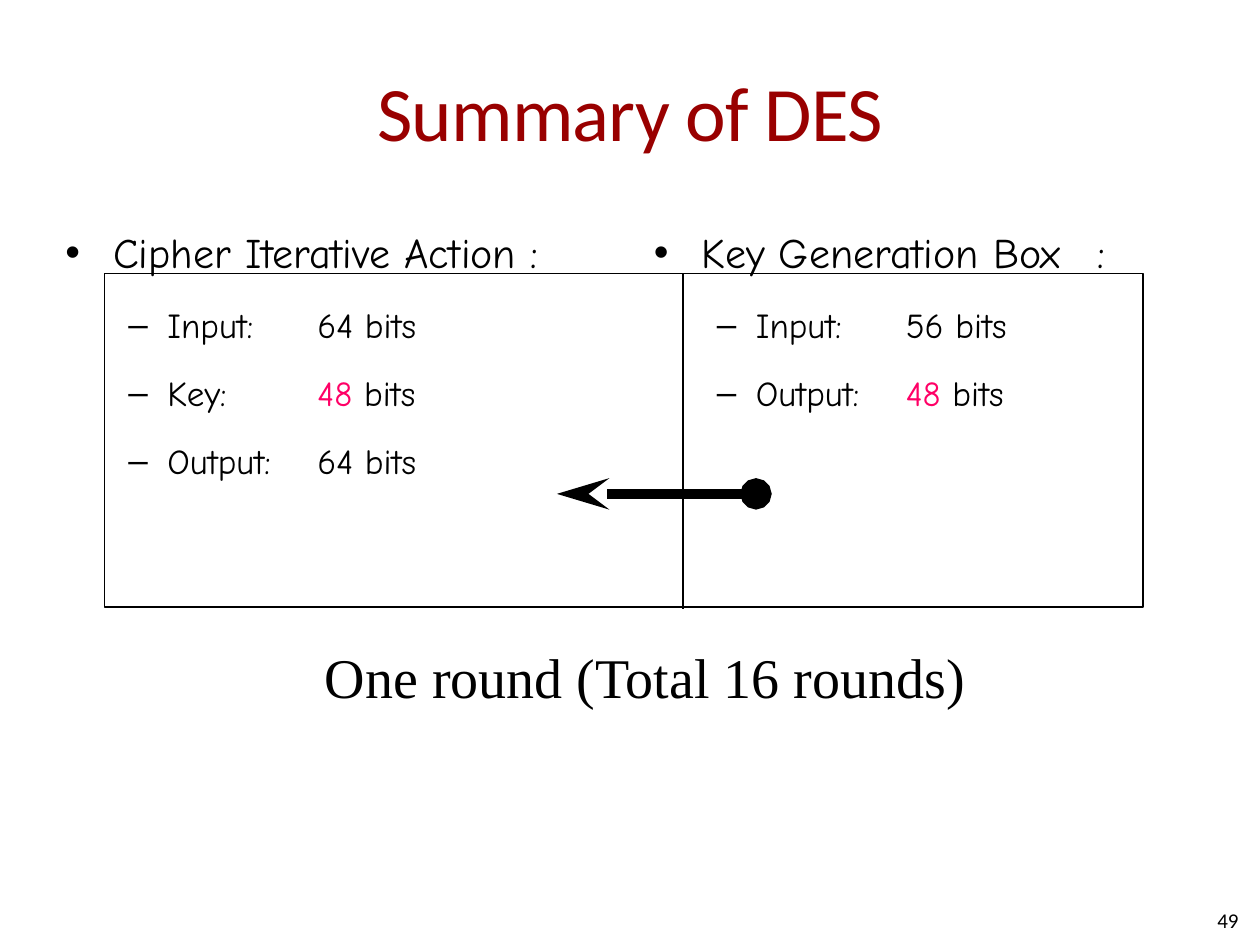
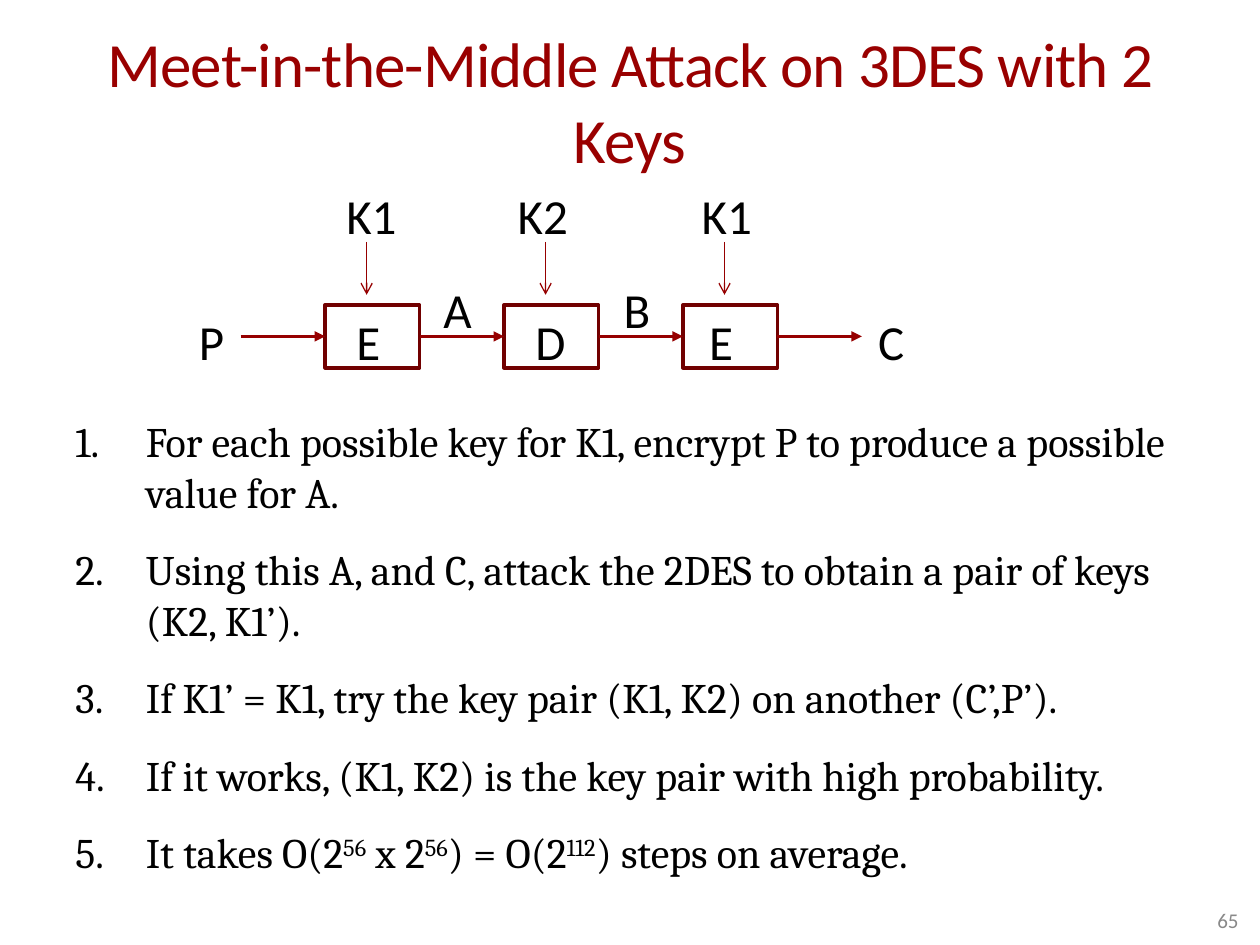
"""Builds two slides on DES: a round summary and the attack on 3DES with two keys."""
from dataclasses import dataclass

from lxml.etree import SubElement
from pptx import Presentation
from pptx.dml.color import RGBColor
from pptx.enum.shapes import MSO_CONNECTOR, MSO_SHAPE
from pptx.enum.text import MSO_ANCHOR, PP_ALIGN
from pptx.oxml.ns import qn
from pptx.util import Inches, Pt


@dataclass(frozen=True)
class Theme:
    """Colours, fonts and type sizes of the deck."""
    black: str = "000000"
    title_red: str = "990000"
    arrow_red: str = "960000"
    box_red: str = "710000"
    key_pink: str = "FF0066"
    number_grey: str = "898989"
    sans: str = "Calibri"
    serif: str = "Cambria"
    hand: str = "Comic Neue"
    roman: str = "Times New Roman"
    title: int = 44
    long_title: int = 36
    caption: int = 32
    label: int = 28
    body: int = 24
    detail: int = 20
    footer: int = 12


THEME = Theme()


def add_span(para, text, *, size, font=THEME.sans, colour=THEME.black, tracking=0, raised=False):
    """Add a run of text to a paragraph in the given format."""
    span = para.add_run()
    span.text = text
    span.font.size = Pt(size)
    span.font.name = font
    span.font.color.rgb = RGBColor.from_string(colour)
    properties = span._r.get_or_add_rPr()
    if tracking:
        properties.set("spc", str(round(tracking * 100)))
    if raised:
        properties.set("baseline", "30000")


def add_box(page, left, top, width, height, *, wrap=True, side=0.1, edge=0.05, anchor=MSO_ANCHOR.TOP):
    """Add an empty text box and return its text frame."""
    box = page.shapes.add_textbox(Inches(left), Inches(top), Inches(width), Inches(height))
    frame = box.text_frame
    frame.word_wrap = wrap
    frame.vertical_anchor = anchor
    frame.margin_left = frame.margin_right = Inches(side)
    frame.margin_top = frame.margin_bottom = Inches(edge)
    return frame


def add_title(page, text, top, size):
    """Add the centred slide title."""
    frame = add_box(page, 0.5, top, 9, 1.25, side=0, anchor=MSO_ANCHOR.MIDDLE)
    para = frame.paragraphs[0]
    para.alignment = PP_ALIGN.CENTER
    add_span(para, text, size=size, colour=THEME.title_red, tracking=-0.5)


def add_page_number(page, number, colour):
    """Add the page number at the lower right."""
    frame = add_box(page, 7.5, 7.1, 2.33, 0.4, side=0, edge=0, anchor=MSO_ANCHOR.MIDDLE)
    para = frame.paragraphs[0]
    para.alignment = PP_ALIGN.RIGHT
    add_span(para, number, size=THEME.footer, colour=colour)


def add_label(page, text, left, top, *, width=0.75, size=THEME.label, font=THEME.sans):
    """Add a one-line label that does not wrap."""
    frame = add_box(page, left, top, width, 0.57, wrap=False)
    add_span(frame.paragraphs[0], text, size=size, font=font)


def add_list_item(frame, first, marker, *, indent, hanging, level=0, before=0, after=0, tab=None):
    """Add a bulleted or numbered paragraph and return it."""
    para = frame.paragraphs[0] if first else frame.add_paragraph()
    para.level = level
    properties = para._p.get_or_add_pPr()
    properties.set("marL", str(Inches(indent)))
    properties.set("indent", str(-Inches(hanging)))
    if marker == "1.":
        SubElement(properties, qn("a:buFont"), typeface="+mj-lt")
        SubElement(properties, qn("a:buAutoNum"), type="arabicPeriod")
    else:
        SubElement(properties, qn("a:buFont"), typeface="Arial")
        SubElement(properties, qn("a:buChar"), char=marker)
    if tab:
        stops = SubElement(properties, qn("a:tabLst"))
        SubElement(stops, qn("a:tab"), pos=str(Inches(tab)), algn="l")
    para.space_before = Pt(0 if first else before)
    para.space_after = Pt(after)
    return para


def add_frame(page, left, top, width, height, colour, weight):
    """Add an outlined rectangle without fill."""
    shape = page.shapes.add_shape(
        MSO_SHAPE.RECTANGLE, Inches(left), Inches(top), Inches(width), Inches(height))
    shape.shadow.inherit = False
    shape.fill.background()
    shape.line.color.rgb = RGBColor.from_string(colour)
    shape.line.width = Pt(weight)


def add_line(page, start, end, colour, weight, *, head=None, tail=None, tail_length="med"):
    """Add a straight line with optional ends."""
    points = [Inches(value) for value in (*start, *end)]
    line = page.shapes.add_connector(MSO_CONNECTOR.STRAIGHT, *points)
    line.line.color.rgb = RGBColor.from_string(colour)
    line.line.width = Pt(weight)
    outline = line.line._get_or_add_ln()
    if head:
        SubElement(outline, qn("a:headEnd"), type=head, w="med", len="med")
    if tail:
        SubElement(outline, qn("a:tailEnd"), type=tail, w="med", len=tail_length)
    SubElement(line._element.spPr, qn("a:effectLst"))


def add_bit_list(page, left, width, heading, rows):
    """Add a heading with rows of name and bit count; shared key sizes are pink."""
    frame = add_box(page, left, 1.75, width, 4.95)
    para = add_list_item(frame, True, "•", indent=0.38, hanging=0.38, after=3, tab=3.52)
    add_span(para, heading, size=THEME.body, font=THEME.hand)
    for name, bits in rows:
        para = add_list_item(frame, False, "–", indent=0.81, hanging=0.31, level=1,
                             before=12, after=3, tab=2)
        colour = THEME.key_pink if bits == "48" else THEME.black
        style = {"size": THEME.detail, "font": THEME.hand}
        add_span(para, f"{name}:\t", **style)
        add_span(para, bits, colour=colour, **style)
        add_span(para, " bits", **style)


def add_steps(page, steps):
    """Add the numbered steps; every second part of a step is superscript."""
    frame = add_box(page, 0.5, 3.25, 9.08, 4)
    for number, parts in enumerate(steps):
        para = add_list_item(frame, number == 0, "1.", indent=0.56, hanging=0.56, before=15.5)
        for position, part in enumerate(parts):
            add_span(para, part, size=THEME.body, font=THEME.serif, raised=position % 2 == 1)


def add_cipher_chain(page):
    """Add the three cipher stages with their keys and the arrows between them."""
    first, pitch, width, middle = 2.58, 1.42, 0.75, 2.67
    lefts = [first + pitch * stage for stage in range(3)]
    for left in lefts:
        add_frame(page, left, 2.42, width, 0.5, THEME.box_red, 2)
        key_x = left + 0.33
        add_line(page, (key_x, 1.92), (key_x, 2.34), THEME.arrow_red, 0.75, tail="arrow")
    for left in [first - pitch, *lefts]:
        add_line(page, (left + width, middle), (left + pitch, middle),
                 THEME.arrow_red, 1.5, tail="triangle")
    label_rows = {
        1.42: [("K1", 2.65), ("K2", 4.01), ("K1", 5.47)],
        2.17: [("A", 3.42), ("B", 4.85)],
        2.42: [("P", 1.48), ("E", 2.73), ("D", 4.15), ("E", 5.53), ("C", 6.87)],
    }
    for top, labels in label_rows.items():
        for text, left in labels:
            add_label(page, text, left, top)


def build_summary(page):
    """Build the summary of one DES round."""
    add_title(page, "Summary of DES", 0.25, THEME.title)
    add_page_number(page, "49", THEME.black)
    add_bit_list(page, 0.42, 4.49, "Cipher Iterative Action :",
                 [("Input", "64"), ("Key", "48"), ("Output", "64")])
    add_bit_list(page, 5.09, 4.41, "Key Generation Box\t:",
                 [("Input", "56"), ("Output", "48")])
    add_frame(page, 0.83, 2.17, 8.24, 2.65, THEME.black, 1)
    add_label(page, "One round (Total 16 rounds)", 2.48, 5.05,
              width=5.31, size=THEME.caption, font=THEME.roman)
    add_line(page, (5.42, 2.17), (5.42, 4.83), THEME.black, 1)
    add_line(page, (6, 3.92), (4.42, 3.92), THEME.black, 6,
             head="oval", tail="stealth", tail_length="lg")


def build_attack(page):
    """Build the meet-in-the-middle attack."""
    add_title(page, "Meet-in-the-Middle Attack on 3DES with 2 Keys", 0.17, THEME.long_title)
    add_steps(page, [
        ["For each possible key for K1, encrypt P to produce a possible value for A."],
        ["Using this A, and C, attack the 2DES to obtain a pair of keys (K2, K1’)."],
        ["If K1’ = K1, try the key pair (K1, K2) on another (C’,P’)."],
        ["If it works, (K1, K2) is the key pair with high probability."],
        ["It takes O(2", "56", " x 2", "56", ") = O(2", "112", ") steps on average."],
    ])
    add_cipher_chain(page)
    add_page_number(page, "65", THEME.number_grey)


def main():
    """Build and save the deck."""
    deck = Presentation()
    deck.slide_width = Inches(10)
    deck.slide_height = Inches(7.5)
    for build in (build_summary, build_attack):
        build(deck.slides.add_slide(deck.slide_layouts[6]))
    deck.save("out.pptx")


if __name__ == "__main__":
    main()
